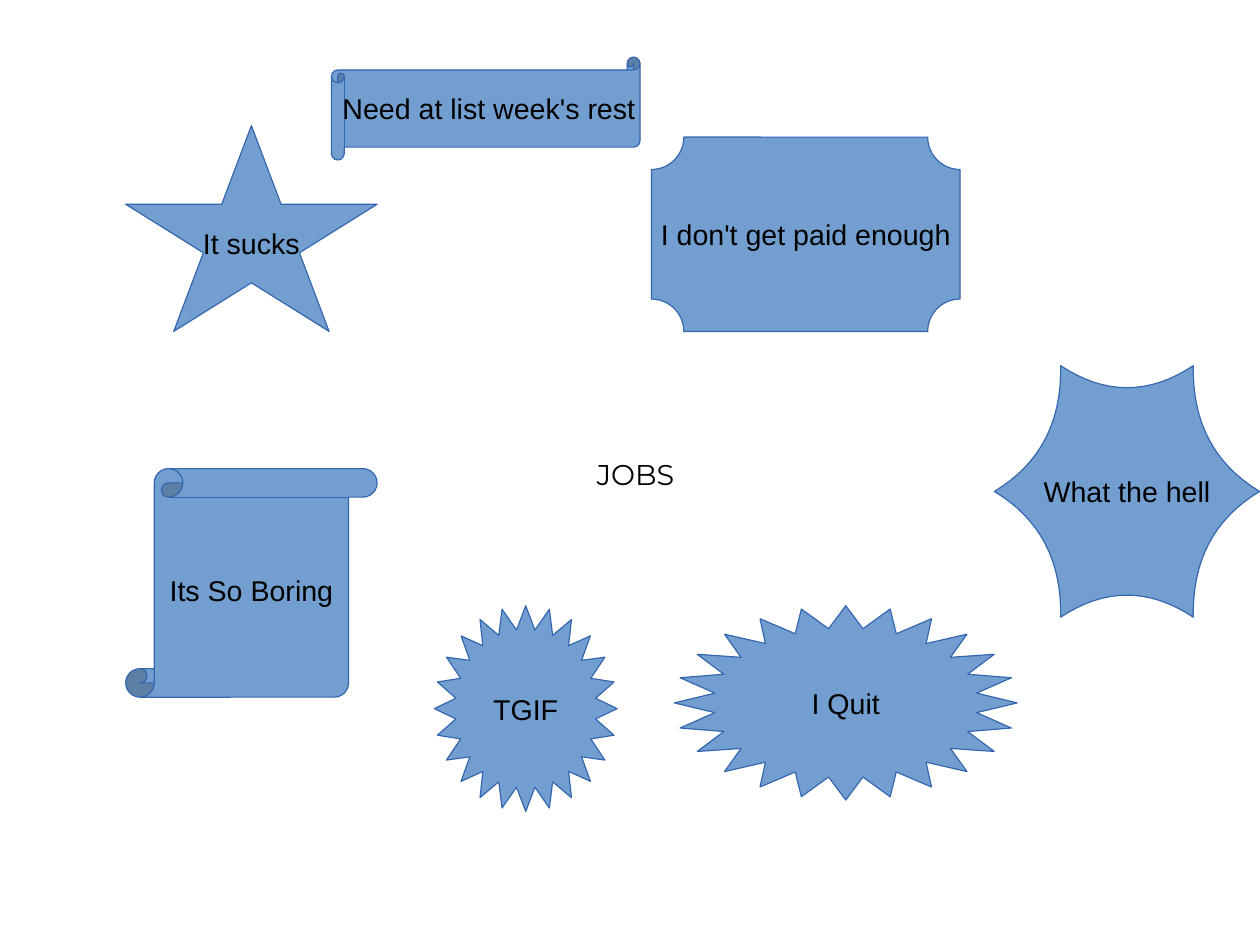
from lxml import etree
from pptx import Presentation
from pptx.dml.color import RGBColor
from pptx.enum.shapes import MSO_SHAPE
from pptx.enum.text import MSO_ANCHOR, PP_ALIGN
from pptx.oxml.ns import qn
from pptx.util import Cm, Inches, Pt

STAR, BURST, PLAQUE = MSO_SHAPE.STAR_5_POINT, MSO_SHAPE.STAR_24_POINT, MSO_SHAPE.PLAQUE
TALL_SCROLL, WIDE_SCROLL = MSO_SHAPE.VERTICAL_SCROLL, MSO_SHAPE.HORIZONTAL_SCROLL
CENTER, MIDDLE = PP_ALIGN.CENTER, MSO_ANCHOR.MIDDLE

CELL = Inches(0.1)  # side of one grid square
BURST_DEPTH = 0.385
EDGE_PULL = 0.65  # how far the badge's edges bend towards its centre
EDGE_STEPS = 16

# Wording, outline, (column, row, columns wide, rows high), adjustment
COMPLAINTS = [
    ("It sucks", STAR, (11, 11, 22, 18), None),
    ("Its So Boring", TALL_SCROLL, (11, 41, 22, 20), 0.125),
    ("I don't get paid enough", PLAQUE, (57, 12, 27, 17), None),
    ("I Quit", BURST, (59, 53, 30, 17), BURST_DEPTH),
    ("Need at list week's rest", WIDE_SCROLL, (29, 5, 27, 9), 0.125),
    ("TGIF", BURST, (38, 53, 16, 18), BURST_DEPTH),
]


def rgb(color):
    return RGBColor.from_string(color)


def grid(cells):
    return [round(cell * CELL) for cell in cells]


def write(shape, words, font_name):
    frame = shape.text_frame
    frame.text = words
    frame.word_wrap = False
    frame.vertical_anchor = MIDDLE
    paragraph = frame.paragraphs[0]
    paragraph.alignment = CENTER
    run = paragraph.runs[0]
    run.font.size = Pt(18)
    run.font.name = font_name
    run.font.color.rgb = rgb("000000")
    return run


def finish(shape, words):
    shape.shadow.inherit = False
    shape.fill.solid()
    shape.fill.fore_color.rgb = rgb("729FCF")
    shape.line.color.rgb = rgb("3465AF")
    shape.line.width = Pt(0)
    write(shape, words, "Arial")


def add_complaint(slide, words, outline, cells, adjustment):
    shape = slide.shapes.add_shape(outline, *grid(cells))
    if adjustment is not None:
        shape.adjustments[0] = adjustment
    finish(shape, words)


def add_curved_badge(slide, words, cells):
    """Six tips joined by edges that curve inwards."""
    left, top, width, height = grid(cells)
    tips = [(1, 0), (0.5, 1), (-0.5, 1), (-1, 0), (-0.5, -1), (0.5, -1)]
    points = []
    for start, end in zip(tips, tips[1:] + tips[:1]):
        for step in range(EDGE_STEPS):
            t = step / EDGE_STEPS
            bend = EDGE_PULL * t * (1 - t)
            x, y = [a * ((1 - t) ** 2 + bend) + b * (t ** 2 + bend)
                    for a, b in zip(start, end)]
            points.append((round(left + width * (1 + x) / 2),
                           round(top + height * (1 + y) / 2)))
    builder = slide.shapes.build_freeform(*points[0])
    builder.add_line_segments(points[1:], close=True)
    finish(builder.convert_to_shape(), words)


def add_topic(slide, words, cells):
    topic = slide.shapes.add_textbox(*grid(cells))
    run = write(topic, words, "Montserrat")
    # Thin outline around the letters
    outline = etree.Element(qn("a:ln"), w=str(Pt(0.75)))
    fill = etree.SubElement(outline, qn("a:solidFill"))
    etree.SubElement(fill, qn("a:srgbClr"), val="000000")
    run._r.get_or_add_rPr().insert(0, outline)


def main():
    deck = Presentation()
    deck.slide_width, deck.slide_height = Cm(28), Cm(21)
    slide = deck.slides.add_slide(deck.slide_layouts[6])

    # Topic in the middle, complaints around it
    add_topic(slide, "JOBS", (35.9, 31.6, 39.4, 19.7))
    for complaint in COMPLAINTS:
        add_complaint(slide, *complaint)
    add_curved_badge(slide, "What the hell", (87, 32, 23.2, 22))

    deck.save("out.pptx")


if __name__ == "__main__":
    main()
